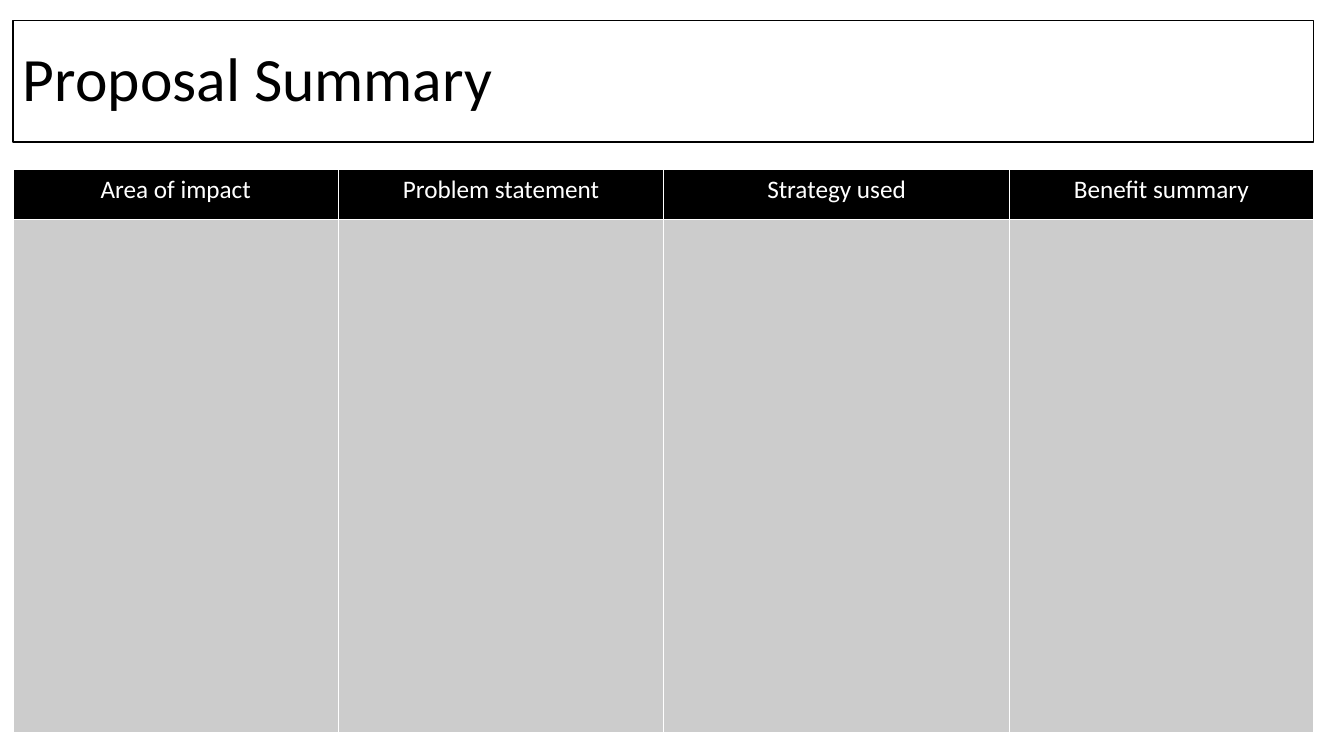
from dataclasses import dataclass

from pptx import Presentation
from pptx.dml.color import RGBColor
from pptx.enum.shapes import MSO_SHAPE
from pptx.enum.text import MSO_ANCHOR, PP_ALIGN
from pptx.util import Cm, Pt


@dataclass(frozen=True)
class Theme:
    font: str = "Calibri"
    ink: RGBColor = RGBColor(0x00, 0x00, 0x00)
    paper: RGBColor = RGBColor(0xFF, 0xFF, 0xFF)
    body: RGBColor = RGBColor(0xCC, 0xCC, 0xCC)
    title_size: Pt = Pt(44)
    heading_size: Pt = Pt(18)
    outline: Pt = Pt(1)


THEME = Theme()
MARGIN, CONTENT_WIDTH = 0.33, 32.77
SUMMARY_COLUMNS = [
    ("Area of impact", 8.2),
    ("Problem statement", 8.2),
    ("Strategy used", 8.71),
    ("Benefit summary", 7.66),
]
HEADING_HEIGHT = 1.27


def style_paragraph(paragraph, size, color, alignment):
    paragraph.alignment = alignment
    paragraph.font.name = THEME.font
    paragraph.font.size = size
    paragraph.font.bold = False
    paragraph.font.color.rgb = color


def fill_cell(cell, color):
    cell.fill.solid()
    cell.fill.fore_color.rgb = color


def add_title(slide, wording, left, top, width, height):
    banner = slide.shapes.add_shape(
        MSO_SHAPE.RECTANGLE, Cm(left), Cm(top), Cm(width), Cm(height))
    banner.shadow.inherit = False
    banner.fill.solid()
    banner.fill.fore_color.rgb = THEME.paper
    banner.line.color.rgb = THEME.ink
    banner.line.width = THEME.outline
    banner.text_frame.word_wrap = True
    banner.text_frame.vertical_anchor = MSO_ANCHOR.MIDDLE
    heading = banner.text_frame.paragraphs[0]
    heading.text = wording
    heading.line_spacing = 0.9
    style_paragraph(heading, THEME.title_size, THEME.ink, PP_ALIGN.LEFT)


def add_summary_table(slide, left, top, width, height):
    """Place a heading row over one tall row left open for entries."""
    summary = slide.shapes.add_table(
        2, len(SUMMARY_COLUMNS), Cm(left), Cm(top), Cm(width), Cm(height)).table
    summary.rows[0].height = Cm(HEADING_HEIGHT)
    summary.rows[1].height = Cm(height - HEADING_HEIGHT)
    for index, (wording, column_width) in enumerate(SUMMARY_COLUMNS):
        summary.columns[index].width = Cm(column_width)
        heading = summary.cell(0, index)
        fill_cell(heading, THEME.ink)
        heading.text = wording
        style_paragraph(heading.text_frame.paragraphs[0],
                        THEME.heading_size, THEME.paper, PP_ALIGN.CENTER)
        fill_cell(summary.cell(1, index), THEME.body)


def main():
    presentation = Presentation()
    presentation.slide_width = Cm(33.87)
    presentation.slide_height = Cm(19.05)
    slide = presentation.slides.add_slide(presentation.slide_layouts[6])
    add_summary_table(slide, MARGIN, 4.27, CONTENT_WIDTH, 14.2)
    add_title(slide, "Proposal Summary", MARGIN, 0.51, CONTENT_WIDTH, 3.07)
    presentation.save("out.pptx")


if __name__ == "__main__":
    main()
